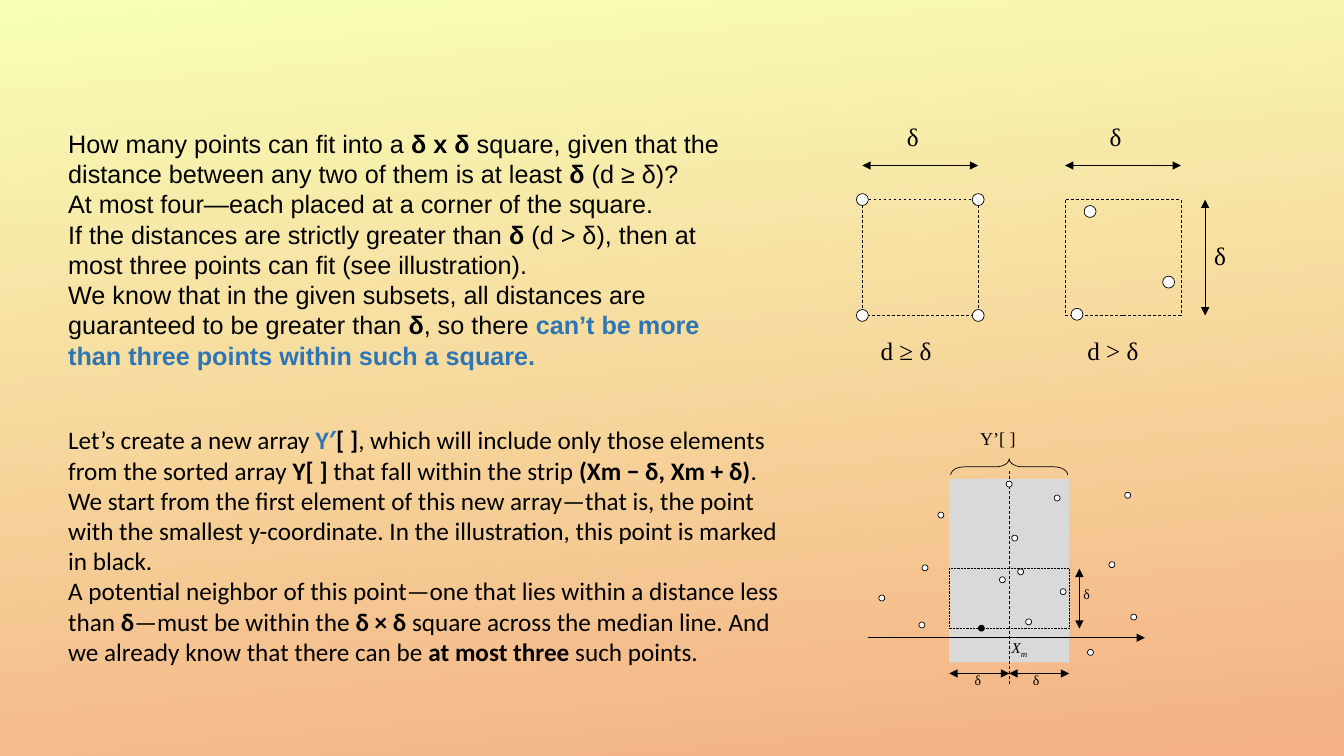
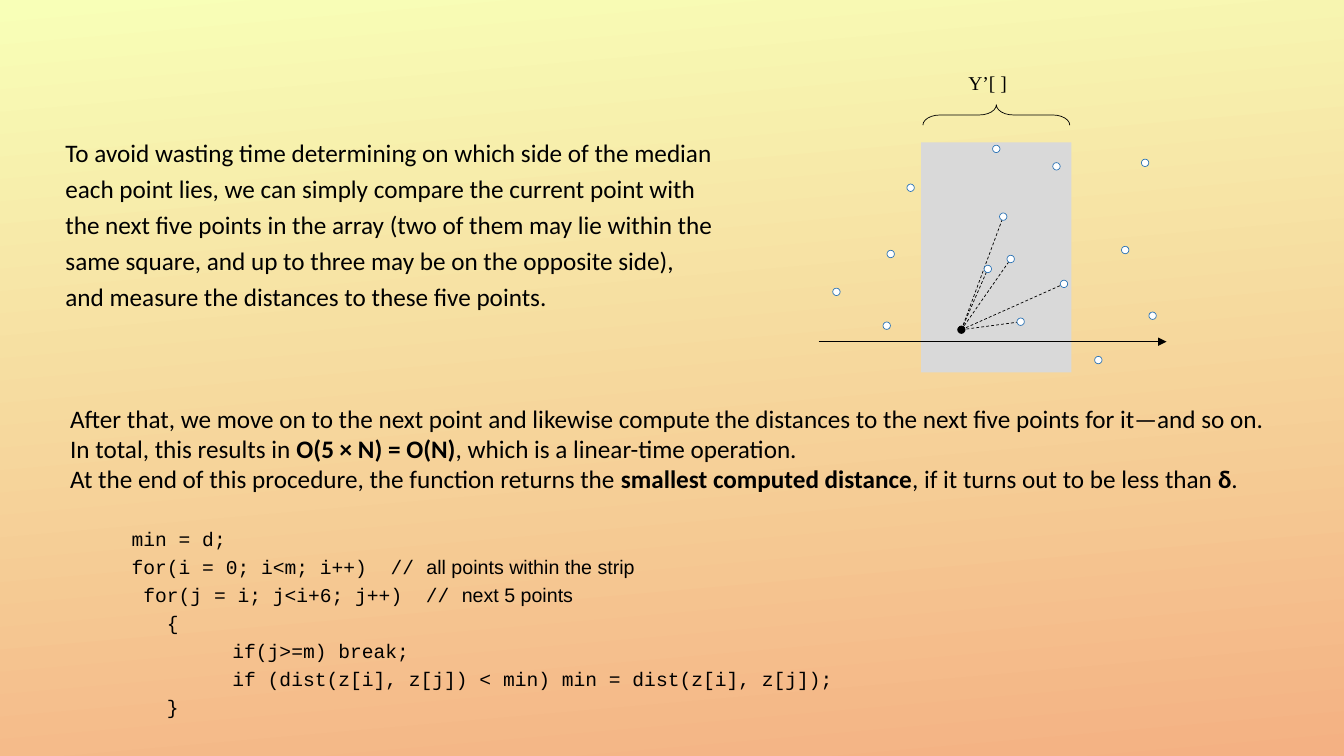
from dataclasses import dataclass

from lxml.etree import SubElement
from pptx import Presentation
from pptx.dml.color import RGBColor
from pptx.enum.dml import MSO_LINE
from pptx.enum.shapes import MSO_CONNECTOR, MSO_SHAPE
from pptx.oxml.ns import qn
from pptx.util import Cm, Pt


@dataclass(frozen=True)
class Theme:
    ink: str = "000000"
    accent: str = "2E75B6"
    paper: str = "FFFFFF"
    strip: str = "D9D9D9"
    sky: str = "F8FFB7"
    sunset: str = "F4B183"
    sans: str = "Arial"
    body: str = "Calibri"
    code: str = "Courier New"
    math: str = "Times New Roman"
    text_size: float = 18
    code_size: float = 14
    axis_size: float = 10.8
    delta_size: float = 9.9
    outline: float = 0.5
    hairline: float = 0.25


THEME = Theme()
BOLD = {"bold": True}
ACCENT = {"bold": True, "color": THEME.accent}
COMMENT = {"font": THEME.sans}

# Content: a paragraph is a list of runs, a run is text or (text, format)
SQUARE_TEXT = [
    ["How many points can fit into a ", ("δ x δ", BOLD),
     " square, given that the distance between any two of them is at least ",
     ("δ", BOLD), " (d ≥ δ)?"],
    ["At most four—each placed at a corner of the square."],
    ["If the distances are strictly greater than ", ("δ", BOLD),
     " (d > δ), then at most three points can fit (see illustration)."],
    ["We know that in the given subsets, all distances are guaranteed to be "
     "greater than ", ("δ", BOLD), ", so there ",
     ("can’t be more than three points within such a square.", ACCENT)],
]
STRIP_TEXT = [
    ["Let’s create a new array ", ("Y′", ACCENT), ("[ ]", BOLD),
     ", which will include only those elements from the sorted array ",
     ("Y[ ]", BOLD), " that fall within the strip ",
     ("(Xm − δ, Xm + δ)", BOLD), "."],
    ["We start from the first element of this new array—that is, the point "
     "with the smallest y-coordinate. In the illustration, this point is "
     "marked in black."],
    ["A potential neighbor of this point—one that lies within a distance less "
     "than ", ("δ", BOLD), "—must be within the ", ("δ × δ", BOLD),
     " square across the median line. And we already know that there can be ",
     ("at most three", BOLD), " such points."],
]
COMPARE_TEXT = [
    ["To avoid wasting time determining on which side of the median each point "
     "lies, we can simply compare the current point with the next five points "
     "in the array (two of them may lie within the same square, and up to "
     "three may be on the opposite side), and measure the distances to these "
     "five points."],
]
TOTAL_TEXT = [
    ["After that, we move on to the next point and likewise compute the "
     "distances to the next five points for it—and so on."],
    ["In total, this results in ", ("O(5 × N) = O(N)", BOLD),
     ", which is a linear-time operation."],
    ["At the end of this procedure, the function returns the ",
     ("smallest computed distance", BOLD),
     ", if it turns out to be less than ", ("δ", BOLD), "."],
]
CODE = [
    ["min = d;"],
    ["for(i = 0; i<m; i++)  // ", ("all points within the strip", COMMENT)],
    [" for(j = i; j<i+6; j++)  // ", ("next 5 points", COMMENT)],
    ["   {"],
    [" \tif(j>=m) break;"],
    ["\tif (dist(z[i], z[j]) < min) min = dist(z[i], z[j]);"],
    ["   }"],
]

# Squares, in cm: left edge, caption, caption indent, points (None: corners)
SQUARE_SIDE, SQUARE_TOP = 2.92, 5.03
SQUARES = [
    (21.74, "d ≥ δ", 0.46, None),
    (26.85, "d > δ", 0.56, [(27.15, 7.92), (29.46, 7.11), (27.48, 5.33)]),
]

# Point cloud, in cm from the top left corner of the strip
STRIP_WIDTH, STRIP_HEIGHT, DELTA = 3.02, 4.62, 1.51
START = (0.81, 3.76)
NEIGHBORS = [(1.34, 2.54), (1.65, 1.49), (2.87, 2.84), (2, 3.6), (1.8, 2.34)]
OTHERS = [(-1.7, 3), (-0.69, 3.68), (-0.61, 2.24), (1.51, 0.13), (-0.21, 0.91),
          (2.72, 0.48), (4.5, 0.41), (3.56, 4.37), (4.65, 3.48), (4.1, 2.16)]


@dataclass(frozen=True)
class Cloud:
    left: float
    top: float
    scale: float = 1

    def at(self, x, y):
        return self.left + x * self.scale, self.top + y * self.scale


def rgb(color):
    return RGBColor.from_string(color)


# Drawing helpers
def add_text(slide, box, paragraphs, *, font=THEME.body, size=THEME.text_size,
             color=THEME.ink, bold=False, italic=False, baseline=0, spacing=1,
             insets=(0.25, 0.13), tab=None):
    frame = slide.shapes.add_textbox(*map(Cm, box)).text_frame
    frame.word_wrap = True
    frame.margin_left = frame.margin_right = Cm(insets[0])
    frame.margin_top = frame.margin_bottom = Cm(insets[1])
    base = dict(font=font, size=size, color=color, bold=bold, italic=italic,
                baseline=baseline)
    for index, runs in enumerate(paragraphs):
        paragraph = frame.add_paragraph() if index else frame.paragraphs[0]
        paragraph.line_spacing = spacing
        if tab:
            stops = SubElement(paragraph._p.get_or_add_pPr(), qn("a:tabLst"))
            SubElement(stops, qn("a:tab"), pos=str(Cm(tab)), algn="l")
        for part in runs:
            words, changes = (part, {}) if isinstance(part, str) else part
            style = {**base, **changes}
            run = paragraph.add_run()
            run.text = words
            run.font.name = style["font"]
            run.font.size = Pt(style["size"])
            run.font.bold = style["bold"]
            run.font.italic = style["italic"]
            run.font.color.rgb = rgb(style["color"])
            if style["baseline"]:
                run.font._element.set("baseline", str(style["baseline"] * 1000))


def add_label(slide, box, words, **style):
    add_text(slide, box, [[words]],
             **{"font": THEME.math, "insets": (0, 0), **style})


def add_figure(slide, kind, box, fill=None, line=THEME.ink, dash=None):
    figure = slide.shapes.add_shape(kind, *map(Cm, box))
    figure.shadow.inherit = False
    if fill:
        figure.fill.solid()
        figure.fill.fore_color.rgb = rgb(fill)
    else:
        figure.fill.background()
    if line:
        figure.line.color.rgb = rgb(line)
        figure.line.width = Pt(THEME.outline)
        figure.line.dash_style = dash
    else:
        figure.line.fill.background()
    return figure


def add_dot(slide, center, diameter, fill=THEME.paper, line=THEME.ink):
    corner = [c - diameter / 2 for c in center]
    add_figure(slide, MSO_SHAPE.OVAL, (*corner, diameter, diameter), fill, line)


def add_line(slide, start, end, width=THEME.outline, dash=None, arrows=()):
    link = slide.shapes.add_connector(MSO_CONNECTOR.STRAIGHT,
                                      *map(Cm, (*start, *end)))
    link.line.color.rgb = rgb(THEME.ink)
    link.line.width = Pt(width)
    link.line.dash_style = dash
    for arrow in arrows:
        SubElement(link.line._get_or_add_ln(), qn(f"a:{arrow}"), type="triangle")
    SubElement(link._element.spPr, qn("a:effectLst"))


def add_measure(slide, start, end):
    add_line(slide, start, end, THEME.hairline, arrows=("headEnd", "tailEnd"))


# Figure parts
def draw_squares(slide):
    bottom = SQUARE_TOP + SQUARE_SIDE
    for left, caption, indent, points in SQUARES:
        right = left + SQUARE_SIDE
        add_figure(slide, MSO_SHAPE.RECTANGLE,
                   (left, SQUARE_TOP, SQUARE_SIDE, SQUARE_SIDE),
                   dash=MSO_LINE.DASH)
        corners = [(x, y) for x in (left, right) for y in (SQUARE_TOP, bottom)]
        for point in points or corners:
            add_dot(slide, point, 0.3)
        add_measure(slide, (left, 4.17), (right, 4.17))
        add_label(slide, (left + 1.12, 3.05, 0.64, 0.91), "δ")
        add_label(slide, (left + indent, 8.46, 2.41, 0.91), caption)
    add_measure(slide, (30.38, bottom), (30.38, SQUARE_TOP))
    add_label(slide, (30.61, 6.05, 0.64, 0.91), "δ")


def draw_strip(slide, cloud, brace_top, name_box, name_size, name_spacing):
    scale = cloud.scale
    add_figure(slide, MSO_SHAPE.RECTANGLE,
               (cloud.left, cloud.top, STRIP_WIDTH * scale, STRIP_HEIGHT * scale),
               THEME.strip, None)
    add_line(slide, cloud.at(-2.06, 4), cloud.at(4.93, 4), arrows=("tailEnd",))
    # The brace stands upright before its quarter turn
    depth, span = 0.41 * scale, 2.95 * scale
    middle = cloud.left + DELTA * scale
    brace = add_figure(slide, MSO_SHAPE.LEFT_BRACE,
                       (middle - depth / 2, brace_top + (depth - span) / 2,
                        depth, span))
    brace.adjustments[0] = 0.84
    brace.rotation = 90
    add_label(slide, name_box, "Y’[ ]", size=name_size, spacing=name_spacing,
              insets=(0.1, 0.1))


def draw_points(slide, cloud, line):
    diameter = 0.15 * cloud.scale
    for point in OTHERS + NEIGHBORS:
        add_dot(slide, cloud.at(*point), diameter, line=line)
    add_dot(slide, cloud.at(*START), diameter, THEME.ink)


def draw_median(slide, cloud):
    box_top = 2.26
    box_bottom = box_top + DELTA
    add_line(slide, cloud.at(DELTA, -0.2), cloud.at(DELTA, 5.16),
             dash=MSO_LINE.DASH)
    add_text(slide, (*cloud.at(1.57, 4.06), 0.97, 0.56),
             [["X", ("m", {"baseline": -25})]], font=THEME.math,
             size=THEME.axis_size, italic=True, spacing=0.8, insets=(0, 0))
    add_figure(slide, MSO_SHAPE.RECTANGLE,
               (*cloud.at(0, box_top), STRIP_WIDTH, DELTA),
               dash=MSO_LINE.ROUND_DOT)
    for start, end, label in [
        ((0, 4.9), (DELTA, 4.9), (0.64, 4.93)),
        ((DELTA, 4.9), (STRIP_WIDTH, 4.9), (2.11, 4.93)),
        ((3.28, box_bottom), (3.28, box_top), (3.38, 2.77)),
    ]:
        add_measure(slide, cloud.at(*start), cloud.at(*end))
        add_label(slide, (*cloud.at(*label), 0.33, 0.46), "δ",
                  size=THEME.delta_size, spacing=0.8)


# Slides
def build_strip_slide(slide):
    add_text(slide, (1.47, 3.1, 17.42, 6.35), SQUARE_TEXT, font=THEME.sans)
    draw_squares(slide)
    add_text(slide, (1.47, 10.57, 18.62, 6.35), STRIP_TEXT)
    cloud = Cloud(23.93, 12.07)
    draw_strip(slide, cloud, 11.56, (24.61, 10.74, 1.93, 0.79), 12.9, 0.9)
    draw_median(slide, cloud)
    draw_points(slide, cloud, THEME.ink)


def build_compare_slide(slide):
    add_text(slide, (1.4, 3.18, 16.94, 4.8), COMPARE_TEXT, spacing=1.19)
    cloud = Cloud(23.22, 3.59, 1.255)
    draw_strip(slide, cloud, 2.64, (24.31, 1.7, 1.6, 0.91), 14, 1)
    for neighbor in NEIGHBORS:
        add_line(slide, cloud.at(*START), cloud.at(*neighbor),
                 dash=MSO_LINE.DASH)
    draw_points(slide, cloud, THEME.accent)
    add_text(slide, (1.52, 10.03, 30.96, 2.54), TOTAL_TEXT)
    add_text(slide, (3.07, 13.03, 20.78, 5.21), CODE, font=THEME.code,
             size=THEME.code_size, spacing=1.19, tab=2.54)


def main():
    deck = Presentation()
    deck.slide_width, deck.slide_height = Cm(33.88), Cm(19.05)
    backdrop = deck.slide_master.background.fill
    backdrop.gradient()
    backdrop.gradient_angle = 360 - 85
    for stop, color, position in zip(backdrop.gradient_stops,
                                     (THEME.sky, THEME.sunset), (0, 1)):
        stop.color.rgb = rgb(color)
        stop.position = position
    blank = deck.slide_layouts[6]
    for build in (build_strip_slide, build_compare_slide):
        build(deck.slides.add_slide(blank))
    deck.save("out.pptx")


if __name__ == "__main__":
    main()
